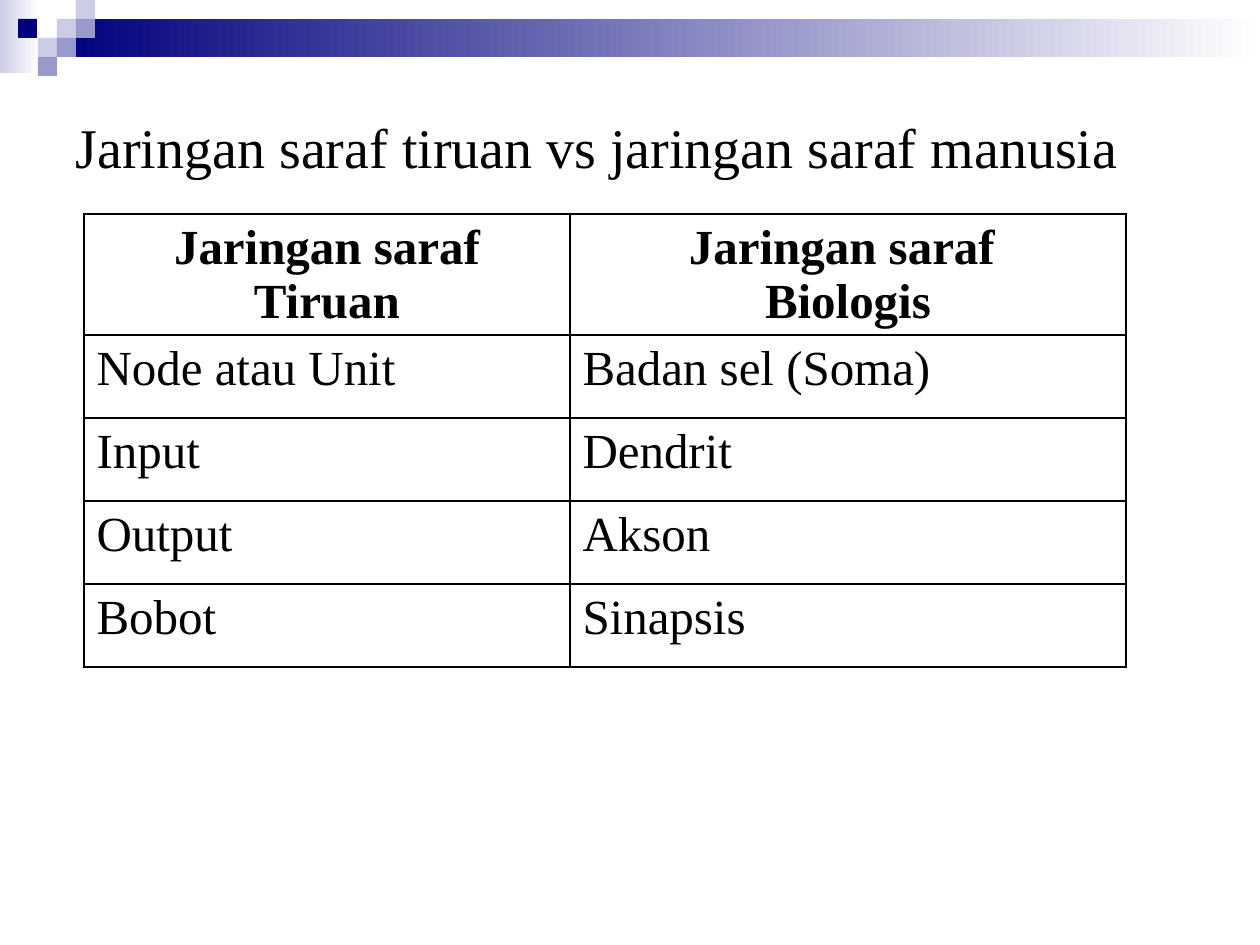
from lxml import etree
from pptx import Presentation
from pptx import util as u
from pptx.dml.color import RGBColor
from pptx.enum import shapes, text
from pptx.oxml import ns

SCALE = 914400 // 126
NAVY = RGBColor(0x00, 0x00, 0x7D)
LILAC = RGBColor(0xCC, 0xCC, 0xE6)
VIOLET = RGBColor(0x99, 0x99, 0xCC)
WHITE = RGBColor(0xFF, 0xFF, 0xFF)
BLACK = RGBColor(0x00, 0x00, 0x00)

TILE = 19
TILES = [(57, 1, LILAC), (76, 0, LILAC), (76, 1, VIOLET), (38, 2, LILAC),
         (18, 1, NAVY), (57, 2, VIOLET), (38, 3, VIOLET)]
HEADING = "Jaringan saraf tiruan vs jaringan saraf manusia"
ROWS = [
    ("Jaringan saraf Tiruan", "Jaringan saraf \nBiologis"),
    ("Node atau Unit", "Badan sel (Soma)"),
    ("Input", "Dendrit"),
    ("Output", "Akson"),
    ("Bobot", "Sinapsis"),
]


def px(length):
    """Turn pixels into EMU."""
    return u.Emu(length * SCALE)


def apply(target, values):
    """Set every attribute named in values."""
    for name, value in values.items():
        setattr(target, name, value)


class SlideBuilder:
    """Holds the text style and the current slide."""

    font = {"name": "Times New Roman"}

    def __init__(self, presentation):
        self.slide = presentation.slides.add_slide(presentation.slide_layouts[1])
        title = self.slide.shapes.title
        title.element.getparent().remove(title.element)

    def format_text(self, frame, size, bold=False, alignment=text.PP_ALIGN.LEFT):
        """Format all paragraphs of a text frame."""
        for paragraph in frame.paragraphs:
            paragraph.alignment = alignment
            for run in paragraph.runs:
                apply(run.font, {**self.font, "size": u.Pt(size), "bold": bold})
                run.font.color.rgb = BLACK

    def rectangle(self, left, top, width, height, *colors):
        """Add a rectangle with a plain fill or a left-to-right gradient."""
        shape = self.slide.shapes.add_shape(
            shapes.MSO_SHAPE.RECTANGLE, *map(px, (left, top, width, height)))
        shape.shadow.inherit = False
        shape.line.fill.background()
        if len(colors) == 1:
            shape.fill.solid()
            shape.fill.fore_color.rgb = colors[0]
            return
        shape.fill.gradient()
        shape.fill.gradient_angle = 0
        for position, (stop, color) in enumerate(
                zip(shape.fill.gradient_stops, colors)):
            stop.color.rgb = color
            stop.position = position

    def body(self, words, left, top, width, height):
        """Fill the body placeholder with one unbulleted paragraph."""
        shape = self.slide.placeholders[1]
        apply(shape, {"left": px(left), "top": px(top),
                      "width": px(width), "height": px(height)})
        frame = shape.text_frame
        frame.text = words
        frame.auto_size = text.MSO_AUTO_SIZE.NONE
        self.format_text(frame, 32, alignment=text.PP_ALIGN.JUSTIFY)
        properties = frame.paragraphs[0]._p.get_or_add_pPr()
        properties.set("marL", "0")
        properties.set("indent", "0")
        etree.SubElement(properties, ns.qn("a:buNone"))

    def border(self, cell):
        """Draw a thin black line on each side of a cell."""
        properties = cell._tc.get_or_add_tcPr()
        for side in "LRTB":
            line = etree.SubElement(properties, ns.qn("a:ln" + side), w=str(u.Pt(1)))
            fill = etree.SubElement(line, ns.qn("a:solidFill"))
            etree.SubElement(fill, ns.qn("a:srgbClr"), val=str(BLACK))

    def table(self, rows, left, top, widths, heights):
        """Add a bordered table with a bold, centred first row."""
        table = self.slide.shapes.add_table(
            len(rows), len(widths), px(left), px(top),
            px(sum(widths)), px(sum(heights))).table
        apply(table, {"first_row": False, "horz_banding": False})
        for column, width in zip(table.columns, widths):
            column.width = px(width)
        for row, height, words in zip(table.rows, heights, rows):
            row.height = px(height)
            header = words == rows[0]
            alignment = text.PP_ALIGN.CENTER if header else text.PP_ALIGN.LEFT
            for cell, word in zip(row.cells, words):
                cell.text = word
                self.format_text(cell.text_frame, 28, header, alignment)
                self.border(cell)
                cell.fill.background()


def main():
    """Build and save the slide."""
    presentation = Presentation()
    apply(presentation, {"slide_width": px(1260), "slide_height": px(945)})
    builder = SlideBuilder(presentation)
    builder.rectangle(0, 0, 39, 73, LILAC, WHITE)
    builder.rectangle(57, TILE, 1203, 2 * TILE, NAVY, WHITE)
    for left, row, color in TILES:
        builder.rectangle(left, row * TILE, TILE, TILE, color)
    builder.body(HEADING, 63, 106, 1134, 535)
    builder.table(ROWS, 84, 214, [486, 556], [121] + [83] * 4)
    presentation.save("out.pptx")


main()
